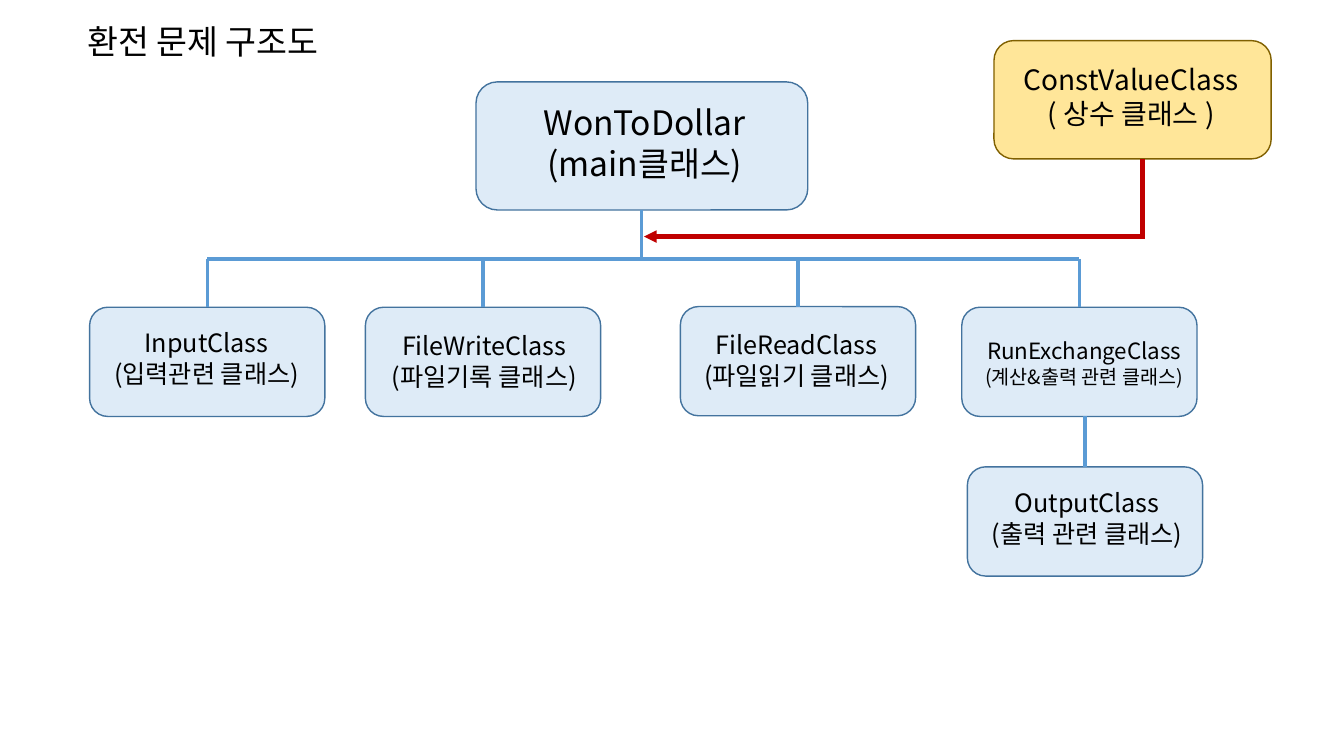
from lxml.etree import SubElement
from pptx import Presentation
from pptx.dml.color import RGBColor
from pptx.enum.shapes import MSO_CONNECTOR as Conn, MSO_SHAPE as Shape
from pptx.enum.text import PP_ALIGN as Align
from pptx.oxml.ns import qn
from pptx.util import Pt


def color(text):
    return RGBColor.from_string(text)


class Chart:
    font = "Noto Sans CJK KR"
    ink = "000000"
    blue = "5B9BD5"
    red = "C00000"
    pale, edge = "DEEBF7", "43739E"
    gold, brown = "FFE699", "806000"
    lead = 1.22

    def __init__(self, slide):
        self.shapes = slide.shapes

    def box(self, left, top, width=168, height=78, fill=pale, edge=edge):
        box = self.shapes.add_shape(
            Shape.ROUNDED_RECTANGLE, Pt(left), Pt(top), Pt(width), Pt(height))
        box.shadow.inherit = False
        box.fill.solid()
        box.fill.fore_color.rgb = color(fill)
        box.line.color.rgb = color(edge)
        box.line.width = Pt(1)
        return box

    def text(self, left, top, width, height, lines, sizes, lead=lead):
        frame = self.shapes.add_textbox(
            Pt(left), Pt(top), Pt(width), Pt(height)).text_frame
        frame.word_wrap = True
        frame.text = "\n".join(lines)
        for para, size in zip(frame.paragraphs, sizes):
            para.alignment = Align.CENTER
            para.line_spacing = Pt(round(size * lead, 1))
            for run in para.runs:
                run.font.size = Pt(size)
                run.font.name = self.font
                run.font.color.rgb = color(self.ink)
                props = run.font._element
                SubElement(props, qn("a:ea"), typeface=self.font)

    def line(self, x1, y1, x2, y2, ink=blue, width=2.25, arrow=False):
        line = self.shapes.add_connector(
            Conn.STRAIGHT, Pt(x1), Pt(y1), Pt(x2), Pt(y2))
        line.line.color.rgb = color(ink)
        line.line.width = Pt(width)
        if arrow:
            SubElement(line.line._get_or_add_ln(), qn("a:tailEnd"),
                       type="triangle")
        SubElement(line._element.spPr, qn("a:effectLst"))
        return line


def main():
    deck = Presentation()
    deck.slide_width, deck.slide_height = Pt(960), Pt(540)
    chart = Chart(deck.slides.add_slide(deck.slide_layouts[6]))

    chart.text(-14, 13.7, 318, 57, ["환전 문제 구조도"], [24], 1.1)

    root = chart.box(340, 58.5, 237, 91.5)
    chart.text(326, 69, 269, 94, ["WonToDollar", "(main클래스)"], [24, 24])

    bus, mid = 185, 458.5
    stem = chart.line(mid, 150, mid, bus)
    stem.begin_connect(root, 2)
    chart.line(148, bus, 771, bus)

    kids = [
        (64, 219.5, "InputClass", "(입력관련 클래스)", (57, 229.7, 181), (18, 18)),
        (261, 219.5, "FileWriteClass", "(파일기록 클래스)", (253.5, 232, 185), (18, 18)),
        (486, 219, "FileReadClass", "(파일읽기 클래스)", (476.5, 231.5, 185), (18, 18)),
        (687, 219.5, "RunExchangeClass", "(계산&출력 관련 클래스)",
         (665.5, 237, 218), (16, 14)),
    ]
    for left, top, name, role, spot, sizes in kids:
        kid = chart.box(left, top)
        drop = chart.line(left + 84, bus, left + 84, top)
        drop.end_connect(kid, 0)
        chart.text(*spot, 51, [name, role], sizes)

    out = chart.box(691, 333.5)
    link = chart.line(775, 297.5, 775, 333.5)
    link.end_connect(out, 0)
    chart.text(672, 344, 209, 51, ["OutputClass", "(출력 관련 클래스)"], [18, 18])

    chart.box(710, 29, 198, 84.5, chart.gold, chart.brown)
    chart.text(723.5, 40.5, 169, 55.5,
               ["ConstValueClass", "( 상수 클래스 )"], [20, 20])
    chart.line(816, 113.5, 816, 170.5, chart.red, 3.25)
    chart.line(816, 169, 460, 169, chart.red, 3, True)

    deck.save("out.pptx")


if __name__ == "__main__":
    main()
